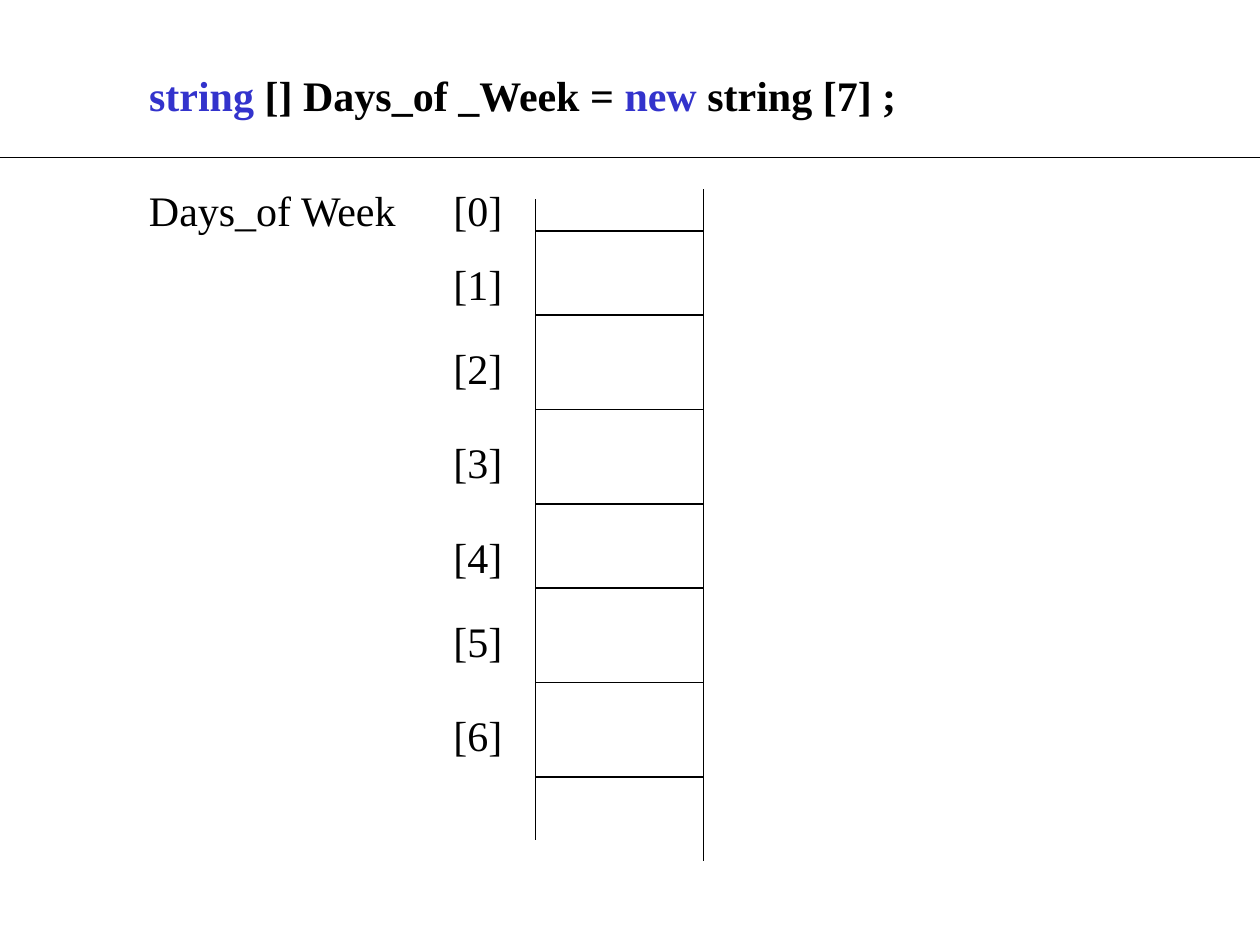
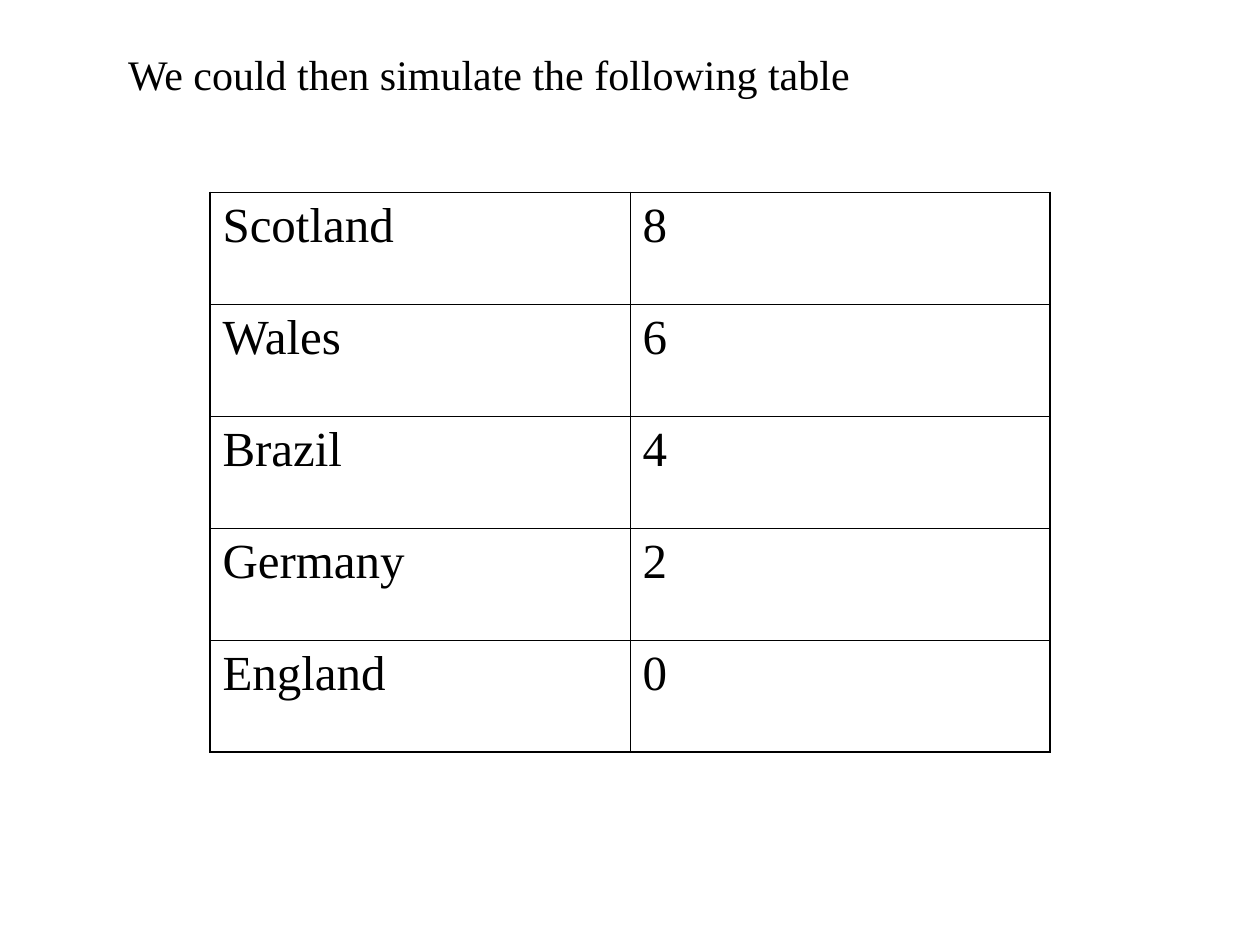
from dataclasses import dataclass

from lxml.etree import SubElement
from pptx import Presentation
from pptx.dml.color import RGBColor
from pptx.enum.shapes import MSO_CONNECTOR
from pptx.enum.text import MSO_ANCHOR, MSO_AUTO_SIZE, PP_ALIGN
from pptx.oxml.ns import qn
from pptx.util import Inches, Pt

COLORS = {"ink": "000000", "keyword": "3333CC", "paper": "FFFFFF"}
FONT = "Times New Roman"
WIDTH, HEIGHT = Inches(10), Inches(7.5)
COLUMNS, ROWS = 120, 90
TITLE_ONLY = 5
TEXT_SIZE, TABLE_SIZE = 24, 28
TEXT_ROWS = 6
ARRAY_LEFT, ARRAY_RIGHT = 51, 67
OUTER_BORDER, INNER_BORDER = 1.08, 0.45


@dataclass(frozen=True)
class Span:
    text: str
    color: str = "ink"
    bold: bool = False


@dataclass(frozen=True)
class Label:
    column: float
    row: float
    columns: float
    spans: tuple[Span, ...]


@dataclass(frozen=True)
class Rule:
    left: float
    top: float
    right: float
    bottom: float


DECLARATION = Label(13, 6, 81, (
    Span("string", "keyword", True),
    Span(" [] Days_of _Week = ", bold=True),
    Span("new", "keyword", True),
    Span(" string [7] ;", bold=True),
))
TABLE_TITLE = Label(11, 4, 75, (Span("We could then simulate the following table"),))
ARRAY_NAME = Label(13, 17, 27, (Span("Days_of Week"),))

DIVIDER_ROWS = (22, 30, 39, 48, 56, 65, 74)
SPLIT_ROW = 56
INDEX_ROWS = (17, *(row + 2 for row in DIVIDER_ROWS[:-1]))
INDEX_WIDTHS = (9, 12, 13, 13, 13, 13, 13)
FRAME = (
    Rule(0, 15, COLUMNS, 15),
    Rule(ARRAY_LEFT, 19, ARRAY_LEFT, 75),
    Rule(ARRAY_LEFT, 74, ARRAY_LEFT, 80),
    Rule(ARRAY_RIGHT, 18, ARRAY_RIGHT, 78),
    Rule(ARRAY_RIGHT, 77, ARRAY_RIGHT, 82),
    Rule(ARRAY_RIGHT - 2, SPLIT_ROW, ARRAY_RIGHT, SPLIT_ROW),
)
SCORES = (("Scotland", "8"), ("Wales", "6"), ("Brazil", "4"),
          ("Germany", "2"), ("England", "0"))


def across(columns: float) -> int:
    return round(WIDTH * columns / COLUMNS)


def down(rows: float) -> int:
    return round(HEIGHT * rows / ROWS)


def add_span(para, span: Span, size: float) -> None:
    run = para.add_run()
    run.text = span.text
    run.font.name = FONT
    run.font.size = Pt(size)
    run.font.bold = span.bold
    run.font.color.rgb = RGBColor.from_string(COLORS[span.color])


def fill_box(box, label: Label) -> None:
    box.left, box.top = across(label.column), down(label.row)
    box.width, box.height = across(label.columns), down(TEXT_ROWS)
    frame = box.text_frame
    frame.word_wrap = True
    frame.auto_size = MSO_AUTO_SIZE.SHAPE_TO_FIT_TEXT
    frame.vertical_anchor = MSO_ANCHOR.TOP
    para = frame.paragraphs[0]
    para.alignment = PP_ALIGN.LEFT
    for span in label.spans:
        add_span(para, span, TEXT_SIZE)


def add_label(page, label: Label) -> None:
    fill_box(page.shapes.add_textbox(0, 0, 0, 0), label)


def add_rule(page, rule: Rule) -> None:
    line = page.shapes.add_connector(
        MSO_CONNECTOR.STRAIGHT, across(rule.left), down(rule.top),
        across(rule.right), down(rule.bottom))
    line.line.color.rgb = RGBColor.from_string(COLORS["ink"])
    line.line.width = Pt(0.75)
    SubElement(line._element.spPr, qn("a:effectLst"))


def add_page(deck, title: Label):
    page = deck.slides.add_slide(deck.slide_layouts[TITLE_ONLY])
    page.background.fill.solid()
    page.background.fill.fore_color.rgb = RGBColor.from_string(COLORS["paper"])
    fill_box(page.shapes.title, title)
    return page


def set_borders(cell, outer_sides: dict[str, bool]) -> None:
    properties = cell._tc.get_or_add_tcPr()
    for side, outer in outer_sides.items():
        width = Pt(OUTER_BORDER if outer else INNER_BORDER)
        border = SubElement(properties, qn(f"a:ln{side}"), w=str(width))
        fill = SubElement(border, qn("a:solidFill"))
        SubElement(fill, qn("a:srgbClr"), val=COLORS["ink"])


def add_scores(page) -> None:
    row_count, column_count = len(SCORES), len(SCORES[0])
    table = page.shapes.add_table(
        row_count, column_count, across(20), down(18.33),
        across(80), down(53.33)).table
    table.first_row = table.horz_banding = False
    for row, values in enumerate(SCORES):
        for column, value in enumerate(values):
            cell = table.cell(row, column)
            add_span(cell.text_frame.paragraphs[0], Span(value), TABLE_SIZE)
            set_borders(cell, {
                "L": column == 0, "R": column == column_count - 1,
                "T": row == 0, "B": row == row_count - 1})
            cell.fill.background()


def build_array_page(deck) -> None:
    page = add_page(deck, DECLARATION)
    for rule in FRAME:
        add_rule(page, rule)
    for row in DIVIDER_ROWS:
        right = ARRAY_RIGHT - 1 if row == SPLIT_ROW else ARRAY_RIGHT
        add_rule(page, Rule(ARRAY_LEFT, row, right, row))
    add_label(page, ARRAY_NAME)
    for index, (row, columns) in enumerate(zip(INDEX_ROWS, INDEX_WIDTHS)):
        add_label(page, Label(42, row, columns, (Span(f"[{index}]"),)))


def build_table_page(deck) -> None:
    add_scores(add_page(deck, TABLE_TITLE))


def main() -> None:
    deck = Presentation()
    deck.slide_width, deck.slide_height = WIDTH, HEIGHT
    build_array_page(deck)
    build_table_page(deck)
    deck.save("out.pptx")


if __name__ == "__main__":
    main()
